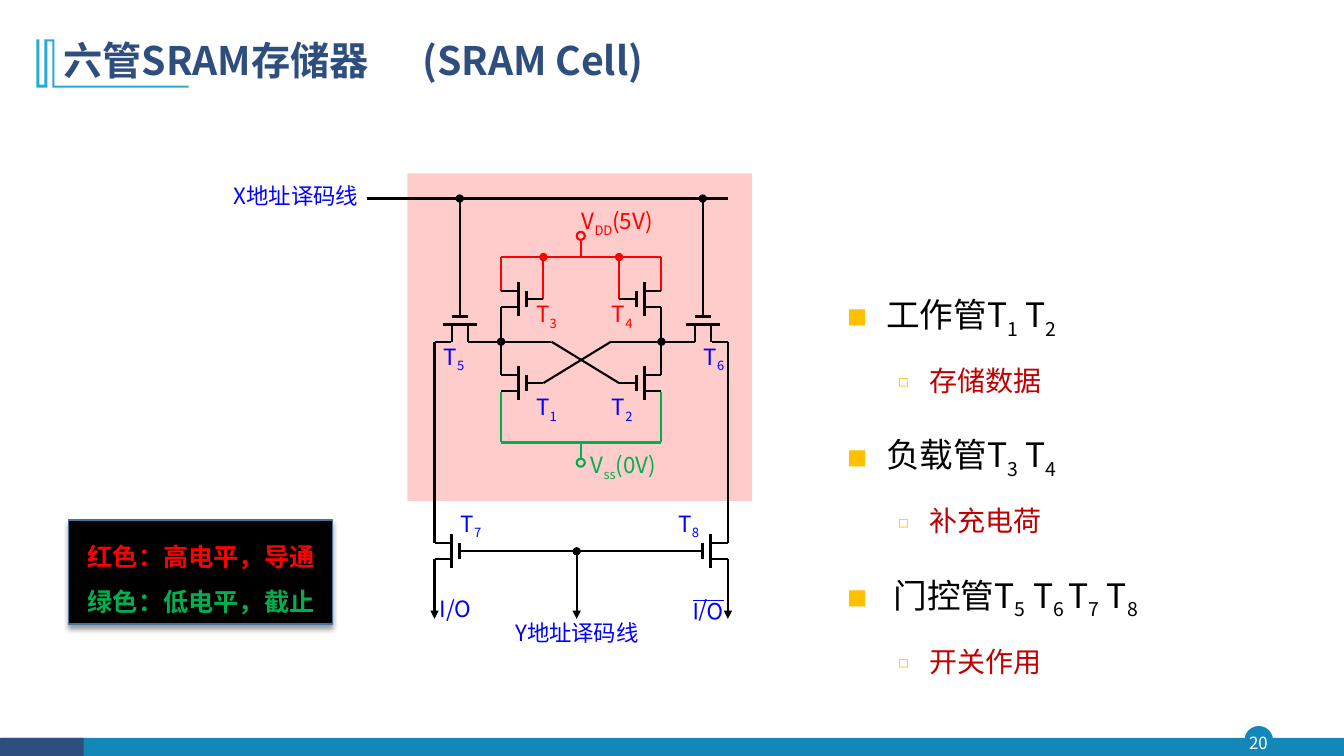
from lxml import etree
from pptx import Presentation
from pptx.dml.color import RGBColor
from pptx.enum.shapes import MSO_CONNECTOR, MSO_SHAPE
from pptx.enum.text import MSO_ANCHOR, MSO_AUTO_SIZE, PP_ALIGN
from pptx.oxml import parse_xml
from pptx.oxml.ns import qn
from pptx.util import Pt

PX = 9144  # 100 px to the inch
FONT = "Noto Sans CJK SC"
NS = 'xmlns:a="http://schemas.openxmlformats.org/drawingml/2006/main"'
LINE = MSO_CONNECTOR.STRAIGHT
RECT, OVAL = MSO_SHAPE.RECTANGLE, MSO_SHAPE.OVAL
TOP, MIDDLE = MSO_ANCHOR.TOP, MSO_ANCHOR.MIDDLE
LEFT, CENTER = PP_ALIGN.LEFT, PP_ALIGN.CENTER
NO_FIT = MSO_AUTO_SIZE.NONE

BLACK = RGBColor(0x00, 0x00, 0x00)
WHITE = RGBColor(0xFF, 0xFF, 0xFF)
RED = RGBColor(0xFF, 0x00, 0x00)
GREEN = RGBColor(0x00, 0xB0, 0x50)
BLUE = RGBColor(0x00, 0x00, 0xFF)
NAVY = RGBColor(0x2E, 0x4E, 0x7E)
TEAL = RGBColor(0x13, 0x87, 0xB7)
SKY = RGBColor(0x28, 0xA9, 0xD6)
STEEL = RGBColor(0x43, 0x73, 0x9E)
CRIMSON = RGBColor(0xC0, 0x00, 0x00)

deck = Presentation()
deck.slide_width, deck.slide_height = 1333 * PX, 750 * PX
slide = deck.slides.add_slide(deck.slide_layouts[1])
shapes = slide.shapes


def write(frame, text, size=16, color=BLUE, bold=False, under=False,
          align=LEFT, level=0, space=None, before=0, extra=()):
    """Add a paragraph; every second part between bars is a subscript."""
    para = frame.paragraphs[0]
    if para.runs:
        para = frame.add_paragraph()
    props = para._p.get_or_add_pPr()
    for xml in extra:
        props.append(parse_xml(xml))
    para.alignment, para.level = align, level
    para.space_before = Pt(before)
    if space:
        para.line_spacing = space
    for i, part in enumerate(text.split("|")):
        if not part:
            continue
        run = para.add_run()
        run.text = part
        font = run.font
        font.size, font.bold, font.underline = Pt(size), bold, under
        font.color.rgb, font.name = color, FONT
        mark = run._r.get_or_add_rPr()
        etree.SubElement(mark, qn("a:ea")).set("typeface", FONT)
        if i % 2:
            mark.set("baseline", "-25000")
    return props


def wire(x1, y1, x2, y2, color=BLACK, width=1.5, head=None, tail=None):
    line = shapes.add_connector(LINE, x1 * PX, y1 * PX, x2 * PX, y2 * PX)
    line.line.color.rgb, line.line.width = color, Pt(width)
    for tag, kind in (("a:headEnd", head), ("a:tailEnd", tail)):
        if kind:
            etree.SubElement(line.line._get_or_add_ln(), qn(tag)).set("type", kind)
    etree.SubElement(line._element.spPr, qn("a:effectLst"))


# Title
title = shapes.title
title.left, title.top, title.width, title.height = [v * PX for v in (53, 28, 1150, 68)]
title.text_frame.vertical_anchor = MIDDLE
title.text_frame.auto_size = NO_FIT
tab = f'<a:tabLst {NS}><a:tab pos="{356 * PX}" algn="l"/></a:tabLst>'
write(title.text_frame, "六管SRAM存储器\t(SRAM Cell)", size=28, color=NAVY,
      bold=True, space=0.9, extra=[tab])

# List of transistor roles
body = slide.placeholders[1]
body.left, body.top, body.width, body.height = [v * PX for v in (831, 264, 374, 321)]
body.text_frame.auto_size = NO_FIT
roles = [("工作管T|1| T|2", "存储数据"),
         ("负载管T|3| T|4", "补充电荷"),
         (" 门控管T|5| T|6 |T|7| T|8", "开关作用")]
styles = [("■", 24, BLACK, 10, 38, 38), ("◻", 20, CRIMSON, 5, 81, 31)]
for n, role in enumerate(roles):
    for level, (text, style) in enumerate(zip(role, styles)):
        sign, size, color, before, left, hang = style
        bullet = [f'<a:buClr {NS}><a:srgbClr val="FFC000"/></a:buClr>',
                  f'<a:buSzPct {NS} val="60000"/>',
                  f'<a:buFont {NS} typeface="{FONT}"/>',
                  f'<a:buChar {NS} char="{sign}"/>']
        props = write(body.text_frame, text, size=size, color=color, level=level,
                      space=1.5, before=before if n or level else 0, extra=bullet)
        props.set("marL", str(left * PX))
        props.set("indent", str(-hang * PX))

# Plain shapes: kind, left, top, width, height, fill, line, line width
blocks = {}
for name, kind, x, y, w, h, fill, edge, width in [
        ("page", OVAL, 1235, 721, 27, 27, TEAL, TEAL, 1),
        ("bar", RECT, 1, 732, 1332, 19, TEAL, None, 0),
        ("corner", RECT, 0, 732, 83, 19, NAVY, None, 0),
        ("cell", RECT, 404, 172, 342, 325, RED, None, 0),
        ("legend", RECT, 68, 516, 262, 103, BLACK, STEEL, 1),
        ("vdd", OVAL, 572, 230, 8, 8, None, RED, 1.5),
        ("vss", OVAL, 572, 455, 8, 8, None, GREEN, 1.5)]:
    block = shapes.add_shape(kind, x * PX, y * PX, w * PX, h * PX)
    block.shadow.inherit = False
    if fill is None:
        block.fill.background()
    else:
        block.fill.solid()
        block.fill.fore_color.rgb = fill
    if edge is None:
        block.line.fill.background()
    else:
        block.line.color.rgb, block.line.width = edge, Pt(width)
    blocks[name] = block

tint = blocks["cell"]._element.spPr.find(".//" + qn("a:srgbClr"))
etree.SubElement(tint, qn("a:alpha")).set("val", "20000")

# Title ornament
edge = [(54, 85), (187, 85), (187, 87), (52, 87), (52, 41), (47, 41), (47, 87),
        (36, 87), (36, 39), (39, 39), (39, 84), (44, 84), (44, 39)]
path = shapes.build_freeform(54, 39, scale=PX)
path.add_line_segments(edge, close=True)
mark = path.convert_to_shape()
mark.shadow.inherit = False
mark.fill.solid()
mark.fill.fore_color.rgb = SKY
mark.line.fill.background()

# Colour legend
legend = blocks["legend"]
shade = legend._element.spPr.find(qn("a:effectLst"))
shade.append(parse_xml(
    f'<a:outerShdw {NS} blurRad="50800" dist="38100" dir="5400000" algn="t" '
    'rotWithShape="0"><a:srgbClr val="000000"><a:alpha val="40000"/></a:srgbClr>'
    '</a:outerShdw>'))
frame = legend.text_frame
frame.word_wrap, frame.vertical_anchor = True, TOP
frame.margin_left, frame.margin_top, frame.margin_right = 19 * PX, 6 * PX, 0
write(frame, "红色：高电平，导通", size=18, color=RED, bold=True, space=1.5)
write(frame, "绿色：低电平，截止", size=18, color=GREEN, bold=True, space=1.5)

# Wires of the left half
half = [(539, 255, 539, 297, RED, 1.5, "oval"), (497, 255, 497, 289, RED),
        (497, 305, 497, 339), (497, 339, 547, 339), (497, 339, 497, 372),
        (539, 380, 606, 339), (497, 389, 497, 439, GREEN),
        (464, 339, 497, 339, BLACK, 1.5, None, "oval"),
        (431, 339, 431, 539), (447, 339, 431, 339),
        (456, 197, 456, 297, BLACK, 1.5, "oval"),
        (431, 555, 431, 614, BLACK, 1.5, None, "triangle")]
upright = [(17, -17, 17, 17, 2.25), (25, -8, 25, 8, 2.25), (0, -8, 17, -8, 1.5),
           (0, 8, 17, 8, 1.5), (25, 0, 42, 0, 1.5)]
lying = [(-17, -17, 17, -17, 2.25), (-8, -25, 8, -25, 2.25), (8, 0, 8, -17, 1.5),
         (-8, 0, -8, -17, 1.5), (0, -25, 0, -42, 1.5)]
for x, y, parts in [(497, 297, upright), (497, 380, upright),
                    (431, 547, upright), (456, 339, lying)]:
    for x1, y1, x2, y2, width in parts:
        half.append((x + x1, y + y1, x + x2, y + y2, BLACK, width))
for x1, y1, x2, y2, *form in half:
    wire(x1, y1, x2, y2, *form)
    wire(1153 - x1, y1, 1153 - x2, y2, *form)  # right half mirrors the left

# Wires across both halves
for run in [(364, 197, 722, 197), (497, 255, 656, 255, RED),
            (497, 439, 656, 439, GREEN), (472, 547, 681, 547),
            (572, 547, 572, 614, BLACK, 1.5, "oval", "triangle"),
            (576, 439, 576, 455, GREEN), (576, 255, 576, 239, RED)]:
    wire(*run)

# Labels: text, left, top, width, height, format
labels = [("V|DD|(5V)", 576, 205, 79, 50, {"color": RED}),
          ("V|ss|(0V)", 585, 447, 79, 50, {"color": GREEN}),
          ("I/O", 435, 589, 38, 25, {}),
          ("O/I", 681, 597, 38, 25, {"under": True}),
          ("Y地址译码线", 510, 613, 150, 25, {}),
          ("X地址译码线", 231, 180, 133, 25, {}),
          ("20", 1232, 721, 32, 31, {"size": 12, "color": WHITE, "align": CENTER})]
for n, x, y in [(1, 531, 389), (2, 606, 389), (3, 531, 297), (4, 606, 297),
                (5, 439, 339), (6, 697, 339), (7, 456, 505), (8, 672, 505)]:
    labels.append((f"T|{n}", x, y, 25, 33, {"color": RED if n in (3, 4) else BLUE}))
for text, x, y, w, h, form in labels:
    box = shapes.add_textbox(x * PX, y * PX, w * PX, h * PX)
    frame = box.text_frame
    frame.word_wrap = True
    frame.margin_left = frame.margin_right = frame.margin_top = frame.margin_bottom = PX
    if text == "20":
        frame.vertical_anchor = MIDDLE
        frame.margin_left = frame.margin_right = frame.margin_top = frame.margin_bottom = 0
    if "under" in form:
        box.rotation = 180  # turned over, the underline becomes an overline
    write(frame, text, **form)

deck.save("out.pptx")
